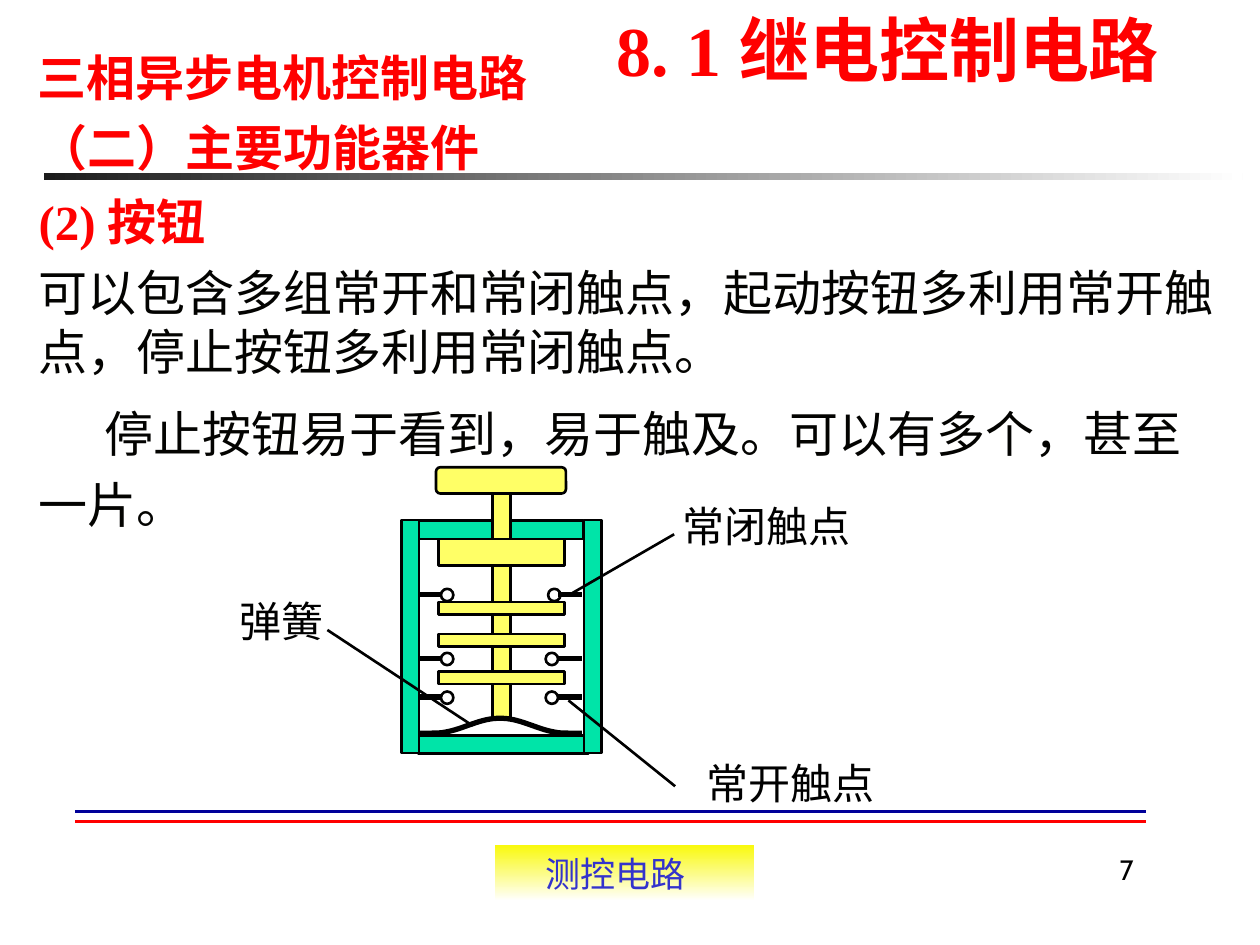
from dataclasses import dataclass
from math import cos, pi

from lxml import etree
from pptx import Presentation
from pptx.dml.color import RGBColor
from pptx.enum.shapes import MSO_CONNECTOR, MSO_SHAPE
from pptx.enum.text import PP_ALIGN
from pptx.oxml.ns import qn
from pptx.util import Cm, Pt

RED = RGBColor(0xFF, 0x00, 0x00)
NAVY = RGBColor(0x00, 0x00, 0x99)
BLUE = RGBColor(0x33, 0x33, 0xCC)
BLACK = RGBColor(0x00, 0x00, 0x00)
INK = RGBColor(0x03, 0x03, 0x01)
CHARCOAL = RGBColor(0x1C, 0x1C, 0x1C)
WHITE = RGBColor(0xFF, 0xFF, 0xFF)
LEMON = RGBColor(0xF9, 0xF9, 0x0D)
YELLOW = RGBColor(0xFF, 0xFF, 0x66)
GREEN = RGBColor(0x00, 0xE4, 0xA8)

RECTANGLE, ROUNDED, OVAL = MSO_SHAPE.RECTANGLE, MSO_SHAPE.ROUNDED_RECTANGLE, MSO_SHAPE.OVAL
STRAIGHT = MSO_CONNECTOR.STRAIGHT
LEFT, CENTER = PP_ALIGN.LEFT, PP_ALIGN.CENTER
SERIF, SANS = "Times New Roman", "Noto Sans CJK JP"

HEADING = {"size": Pt(28), "name": SERIF, "bold": True}
BODY = {"size": Pt(28), "name": SANS, "bold": False}
LABEL = {"size": Pt(24), "name": SERIF, "bold": False}


@dataclass
class Area:
    """Left, top, width and height in centimetres."""
    left: float
    top: float
    width: float
    height: float

    def lengths(self) -> list:
        return [Cm(value) for value in (self.left, self.top, self.width, self.height)]


@dataclass
class Part:
    area: Area
    fill: RGBColor | None
    kind: int = RECTANGLE


@dataclass
class Stroke:
    start: tuple[float, float]
    end: tuple[float, float]
    color: RGBColor = BLACK
    weight: float = 1.5


@dataclass
class Caption:
    text: str
    area: Area
    style: dict
    color: RGBColor
    align: int = LEFT
    wrap: bool = False


def add_span(para, text: str, style: dict, color: RGBColor) -> None:
    span = para.add_run()
    span.text = text
    for key, value in style.items():
        setattr(span.font, key, value)
    span.font.color.rgb = color
    east_asian = etree.SubElement(span.font._element, qn("a:ea"))
    east_asian.set("typeface", SANS)


def draw_caption(page, caption: Caption) -> None:
    box = page.shapes.add_textbox(*caption.area.lengths())
    box.text_frame.word_wrap = caption.wrap
    para = box.text_frame.paragraphs[0]
    para.alignment = caption.align
    add_span(para, caption.text, caption.style, caption.color)


def draw_gradient(page, area: Area, first: RGBColor, angle: int):
    shape = page.shapes.add_shape(RECTANGLE, *area.lengths())
    shape.shadow.inherit = False
    shape.line.fill.background()
    shape.fill.gradient()
    shape.fill.gradient_angle = angle
    for stop, color, position in zip(shape.fill.gradient_stops, (first, WHITE), (0, 1)):
        stop.color.rgb = color
        stop.position = position
    return shape


def draw_part(page, part: Part) -> None:
    shape = page.shapes.add_shape(part.kind, *part.area.lengths())
    shape.shadow.inherit = False
    if part.fill is None:
        shape.fill.background()
    else:
        shape.fill.solid()
        shape.fill.fore_color.rgb = part.fill
    shape.line.color.rgb = BLACK
    shape.line.width = Pt(1.5)


def draw_stroke(page, stroke: Stroke) -> None:
    ends = [Cm(value) for value in (*stroke.start, *stroke.end)]
    line = page.shapes.add_connector(STRAIGHT, *ends)
    line.line.color.rgb = stroke.color
    line.line.width = Pt(stroke.weight)
    etree.SubElement(line._element.spPr, qn("a:effectLst"))


def draw_spring(page, center: float, top: float) -> None:
    """A bell-shaped leaf spring: cosine hump with flat ends."""
    rise, bell, reach, steps = 0.3, 1.32, 1.65, 48
    points = []
    for step in range(steps + 1):
        offset = reach * (2 * step / steps - 1)
        drop = rise * (1 - cos(pi * min(abs(offset) / bell, 1))) / 2
        points.append((Cm(center + offset), Cm(top + drop)))
    builder = page.shapes.build_freeform(*points[0])
    builder.add_line_segments(points[1:], close=False)
    spring = builder.convert_to_shape()
    spring.shadow.inherit = False
    spring.fill.background()
    spring.line.color.rgb = BLACK
    spring.line.width = Pt(3)


def draw_body(page) -> None:
    box = page.shapes.add_textbox(*Area(0.53, 3.73, 24.41, 8.59).lengths())
    frame = box.text_frame
    frame.word_wrap = True
    add_span(frame.paragraphs[0], "(2) 按钮", HEADING, RED)
    paragraphs = [
        ("可以包含多组常开和常闭触点，起动按钮多利用常开触点，停止按钮多利用常闭触点。", 1.0, 0),
        ("停止按钮易于看到，易于触及。可以有多个，甚至一片。", 1.2, 1.33),
    ]
    for text, spacing, indent in paragraphs:
        para = frame.add_paragraph()
        para.space_before = Pt(7)
        para.line_spacing = spacing
        para._p.get_or_add_pPr().set("indent", str(Cm(indent)))
        add_span(para, text, BODY, INK)


def draw_button(page) -> None:
    # Housing, cap and plunger
    parts = [
        Part(Area(8.79, 9.42, 2.62, 0.53), YELLOW, ROUNDED),
        Part(Area(8.43, 10.49, 1.5, 0.38), GREEN),
        Part(Area(10.26, 10.49, 1.5, 0.38), GREEN),
        Part(Area(8.43, 14.83, 3.43, 0.36), GREEN),
        Part(Area(8.09, 10.48, 0.36, 4.7), GREEN),
        Part(Area(11.77, 10.48, 0.36, 4.7), GREEN),
        Part(Area(9.93, 9.96, 0.36, 4.52), YELLOW),
    ]
    for part in parts:
        draw_part(page, part)
    draw_spring(page, 10.08, 14.48)

    # Collar and moving contact plates
    for top, height in ((10.87, 0.53), (12.14, 0.25), (12.78, 0.25), (13.54, 0.25)):
        draw_part(page, Part(Area(8.84, top, 2.54, height), YELLOW))

    # Fixed contacts: a stub and a ring on each side
    for top, right in ((11.87, 11.05), (13.16, 11), (13.94, 11)):
        for ring, stub in ((8.89, 8.43), (right, 11.25)):
            draw_stroke(page, Stroke((stub, top + 0.11), (stub + 0.49, top + 0.11), weight=3))
            draw_part(page, Part(Area(ring, top, 0.25, 0.25), None, OVAL))

    # Leaders and their labels
    for start, end in (((11.53, 11.96), (13.59, 10.77)),
                       ((11.46, 14.12), (13.61, 15.85)),
                       ((9.53, 14.63), (6.6, 12.7))):
        draw_stroke(page, Stroke(start, end))
    for text, left, top, width in (("常闭触点", 13.51, 9.96, 3.95),
                                   ("常开触点", 14, 15.14, 3.95),
                                   ("弹簧", 4.57, 11.89, 2.4)):
        draw_caption(page, Caption(text, Area(left, top, width, 1.27), LABEL, BLACK))


def main() -> None:
    deck = Presentation()
    deck.slide_width, deck.slide_height = Cm(25.4), Cm(19.05)
    page = deck.slides.add_slide(deck.slide_layouts[6])

    # Header bar and footer
    draw_gradient(page, Area(0.89, 3.48, 24.16, 0.15), CHARCOAL, 0)
    for top, color in ((16.56, RED), (16.36, NAVY)):
        draw_stroke(page, Stroke((1.52, top), (23.11, top), color))
    footer = draw_gradient(page, Area(9.98, 17.04, 5.23, 1.12), LEMON, 270)
    footer.text_frame.margin_left = Cm(1.02)
    footer.text_frame.paragraphs[0].alignment = LEFT
    add_span(footer.text_frame.paragraphs[0], "测控电路", {**LABEL, "size": Pt(20)}, BLUE)

    # Headings and page number
    captions = [
        Caption("7", Area(21.95, 17.07, 1.52, 1.07),
                {"size": Pt(16), "name": "Cabin"}, BLACK, CENTER, True),
        Caption("8. 1 继电控制电路", Area(11.46, 0, 12.88, 1.5),
                {**HEADING, "size": Pt(40)}, RED, CENTER),
        Caption("三相异步电机控制电路", Area(0.51, 0.84, 10.7, 1.45), HEADING, RED),
        Caption("（二）主要功能器件", Area(0.53, 2.24, 9.7, 1.45), HEADING, RED),
    ]
    for caption in captions:
        draw_caption(page, caption)

    draw_body(page)
    draw_button(page)
    deck.save("out.pptx")


if __name__ == "__main__":
    main()
